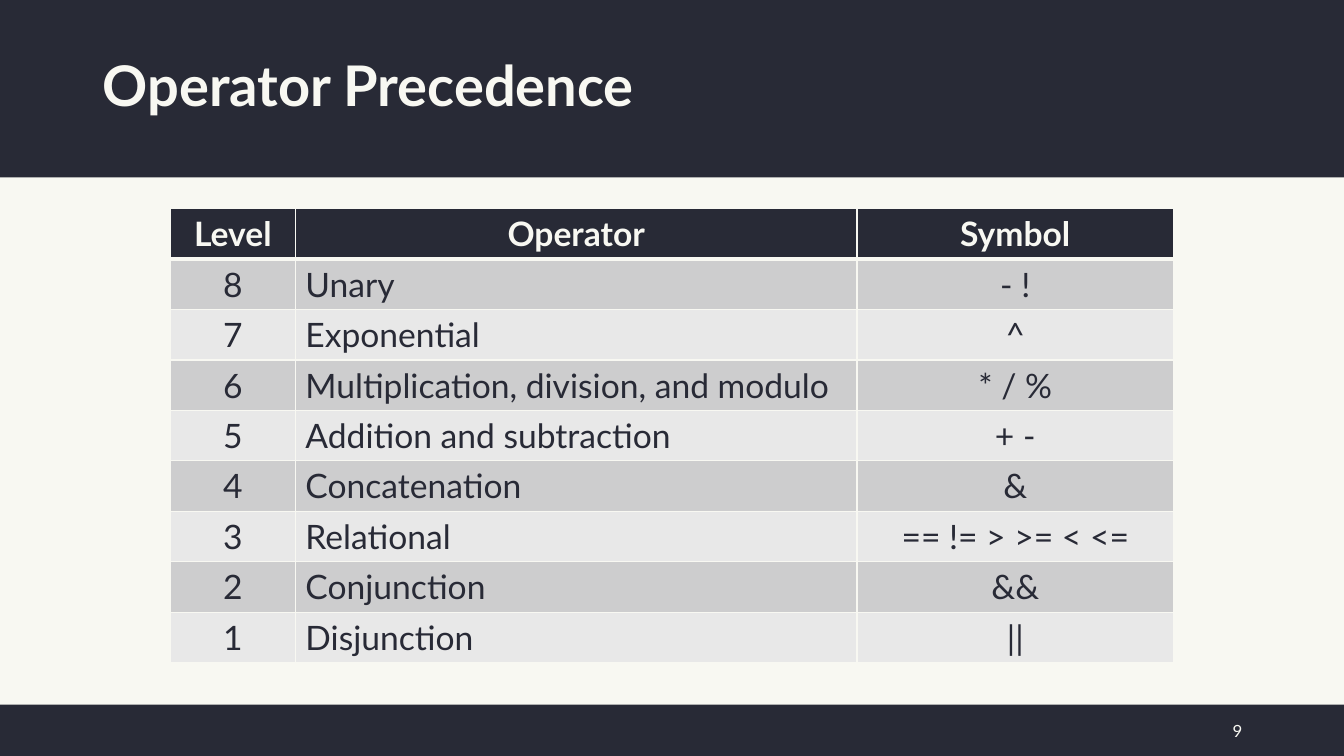
from pptx import Presentation
from pptx.dml.color import RGBColor as RGB
from pptx.enum.shapes import MSO_SHAPE as Shape
from pptx.enum.text import MSO_ANCHOR as Anchor, PP_ALIGN as Align
from pptx.oxml.ns import qn
from pptx.util import Inches, Pt
from lxml.etree import SubElement as Sub

WIDE, HIGH = 13.33, 7.5
DARK, PALE = "282A36", "F8F8F2"
BANDS = "CDCDCE", "E8E8E8"
COLS = 1.24, 5.57, 3.14
ROW = 0.5
HEAD = "Level", "Operator", "Symbol"
OPS = [
    ("Unary", "- !"),
    ("Exponential", "^"),
    ("Multiplication, division, and modulo", "* / %"),
    ("Addition and subtraction", "+ -"),
    ("Concatenation", "&"),
    ("Relational", "== != > >= < <="),
    ("Conjunction", "&&"),
    ("Disjunction", "||"),
]


def paint(fill, color):
    fill.solid()
    fill.fore_color.rgb = RGB.from_string(color)


def write(frame, text, size, color, align=Align.LEFT, bold=False):
    para = frame.paragraphs[0]
    para.text = text
    para.alignment = align
    font = para.font
    font.name, font.size, font.bold = "Lato", Pt(size), bold
    font.color.rgb = RGB.from_string(color)
    return para


def band(slide, top, high):
    bar = slide.shapes.add_shape(
        Shape.RECTANGLE, 0, Inches(top), Inches(WIDE), Inches(high))
    bar.shadow.inherit = False
    paint(bar.fill, DARK)
    bar.line.fill.background()


def label(slide, box, text, size, **style):
    frame = slide.shapes.add_textbox(*map(Inches, box)).text_frame
    frame.word_wrap = True
    frame.vertical_anchor = Anchor.MIDDLE
    return write(frame, text, size, PALE, **style)


def edge(cell, side, width):
    line = Sub(cell._tc.get_or_add_tcPr(), qn("a:" + side), w=str(Pt(width)))
    Sub(Sub(line, qn("a:solidFill")), qn("a:srgbClr"), val=PALE)


def grid(slide, left, top, rows):
    table = slide.shapes.add_table(
        len(rows), len(COLS), Inches(left), Inches(top),
        Inches(sum(COLS)), Inches(ROW * len(rows))).table
    for col, width in zip(table.columns, COLS):
        col.width = Inches(width)
    for r, row in enumerate(rows):
        head = r == 0
        for c, text in enumerate(row):
            cell = table.cell(r, c)
            # Borders go before the fill; the rule under the header is thick
            edge(cell, "lnL", 1)
            edge(cell, "lnR", 1)
            edge(cell, "lnT", 3 if r == 1 else 1)
            edge(cell, "lnB", 3 if head else 1)
            paint(cell.fill, DARK if head else BANDS[(r - 1) % 2])
            align = Align.LEFT if c == 1 and not head else Align.CENTER
            write(cell.text_frame, text, 24, PALE if head else DARK,
                  align, head)


def main():
    deck = Presentation()
    deck.slide_width, deck.slide_height = Inches(WIDE), Inches(HIGH)
    slide = deck.slides.add_slide(deck.slide_layouts[6])
    paint(slide.background.fill, PALE)

    # Header and footer
    band(slide, 0, 1.76)
    band(slide, 6.99, HIGH - 6.99)
    title = label(slide, (0.92, 0.15, 11.5, 1.45), "Operator Precedence", 40,
                  bold=True)
    title.line_spacing = 0.9
    label(slide, (11.68, 7.05, 0.74, 0.4), "9", 12, align=Align.RIGHT)

    # Precedence table, levels counting down to 1
    top = len(OPS)
    rows = [(str(top - i), *op) for i, op in enumerate(OPS)]
    grid(slide, 1.69, 2.07, [HEAD, *rows])

    deck.save("out.pptx")


if __name__ == "__main__":
    main()
